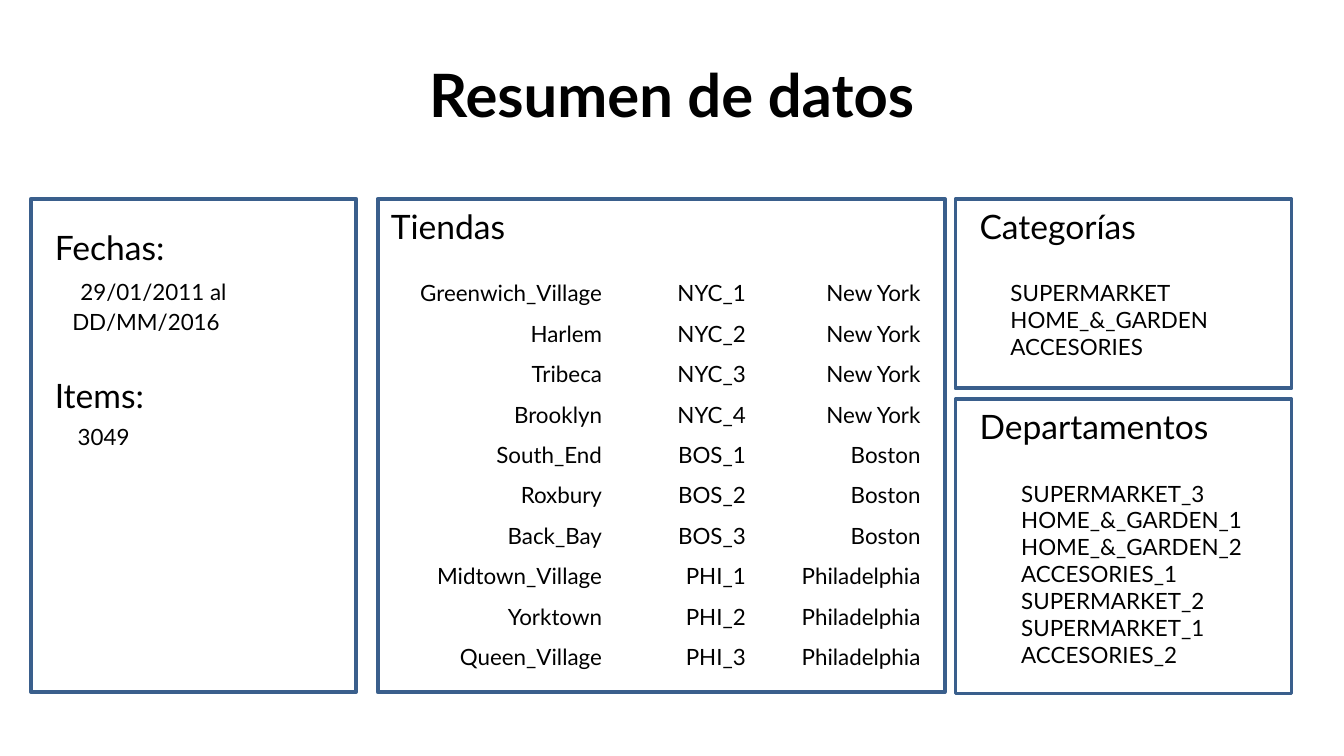
from dataclasses import dataclass
from pptx import Presentation
from pptx.dml.color import RGBColor
from pptx.enum.shapes import MSO_SHAPE
from pptx.enum.text import MSO_ANCHOR, MSO_AUTO_SIZE, PP_ALIGN
from pptx.util import Inches, Pt


@dataclass(frozen=True)
class Theme:
    """Colours, font and type sizes of the slide."""
    ink: RGBColor = RGBColor(0, 0, 0)
    paper: RGBColor = RGBColor(255, 255, 255)
    edge: RGBColor = RGBColor(0x3A, 0x5F, 0x8C)
    font: str = "Lato"
    title: Pt = Pt(32)
    head: Pt = Pt(18)
    body: Pt = Pt(12)


THEME = Theme()
WIDE = Inches(10)
STORES = [
    ("New York", "NYC", ["Greenwich_Village", "Harlem", "Tribeca", "Brooklyn"]),
    ("Boston", "BOS", ["South_End", "Roxbury", "Back_Bay"]),
    ("Philadelphia", "PHI", ["Midtown_Village", "Yorktown", "Queen_Village"]),
]
GROUPS = ["SUPERMARKET", "HOME_&_GARDEN", "ACCESORIES"]
UNITS = [
    "SUPERMARKET_3 HOME_&_GARDEN_1 HOME_&_GARDEN_2 ACCESORIES_1",
    "SUPERMARKET_2 SUPERMARKET_1",
    "ACCESORIES_2",
]
FACTS = [
    ("Fechas:", THEME.head, 0, 0),
    ("29/01/2011 al", THEME.body, 6, 0.19),
    ("DD/MM/2016", THEME.body, 1.3, 0.13),
    ("Items:", THEME.head, 21.6, 0),
    ("3049", THEME.body, 4, 0.17),
]


def style(item, **values):
    """Set each named value on an item."""
    for name, value in values.items():
        setattr(item, name, value)


def write(para, text, size, bold=False, **values):
    """Fill a paragraph with one styled run."""
    style(para, **values)
    run = para.add_run()
    run.text = text
    style(run.font, name=THEME.font, size=size, bold=bold)
    run.font.color.rgb = THEME.ink


def add_text(slide, box, lines, size, anchor=MSO_ANCHOR.TOP, **values):
    """Add a wrapped text box with a paragraph for each line."""
    frame = slide.shapes.add_textbox(*map(Inches, box)).text_frame
    style(frame, word_wrap=True, vertical_anchor=anchor)
    if anchor == MSO_ANCHOR.TOP:
        frame.auto_size = MSO_AUTO_SIZE.SHAPE_TO_FIT_TEXT
    for i, line in enumerate(lines):
        para = frame.add_paragraph() if i else frame.paragraphs[0]
        write(para, line, size, **values)
    return frame


def add_panel(slide, box):
    """Draw the outlined panel."""
    panel = slide.shapes.add_shape(MSO_SHAPE.RECTANGLE, *map(Inches, box))
    panel.shadow.inherit = False
    panel.fill.solid()
    panel.fill.fore_color.rgb = THEME.paper
    panel.line.color.rgb = THEME.edge
    panel.line.width = Pt(2)


def add_stores(slide, box):
    """Add the panel with the table of stores."""
    left, top, width, _ = box
    add_panel(slide, box)
    add_text(slide, (left, top, width - 0.16, 0.4), ["Tiendas"], THEME.head)
    rows = [(name, f"{code}_{i}", city) for city, code, names in STORES
            for i, name in enumerate(names, 1)]
    area = map(Inches, (left + 0.16, top + 0.55, 3.98, 3.01))
    table = slide.shapes.add_table(len(rows), 3, *area).table
    style(table, first_row=False, horz_banding=False)
    for col, size in zip(table.columns, (1.61, 1.07, 1.3)):
        col.width = Inches(size)
    for row, texts in zip(table.rows, rows):
        for cell, text in zip(row.cells, texts):
            cell.fill.background()
            cell.vertical_anchor = MSO_ANCHOR.MIDDLE
            write(cell.text_frame.paragraphs[0], text, THEME.body,
                  alignment=PP_ALIGN.RIGHT)


def add_list(slide, box, head, lines, inset, width, height):
    """Add a panel with a heading and an inset list."""
    left, top, full, _ = box
    add_panel(slide, box)
    add_text(slide, (left + 0.08, top, full - 0.16, 0.4), [head], THEME.head)
    add_text(slide, (left + inset, top + 0.55, width, height), lines, THEME.body)


def add_facts(slide, box):
    """Add the panel with dates and item count."""
    left, top, width, _ = box
    add_panel(slide, box)
    area = (left + 0.08, top + 0.16, width - 0.15, 2.76)
    frame = add_text(slide, area, [], THEME.head)
    for i, (text, size, gap, indent) in enumerate(FACTS):
        para = frame.add_paragraph() if i else frame.paragraphs[0]
        write(para, text, size, space_before=Pt(gap))
        para._p.get_or_add_pPr().set("indent", str(Inches(indent)))


def main():
    """Build and save the slide."""
    deck = Presentation()
    style(deck, slide_width=WIDE, slide_height=WIDE * 9 // 16)
    slide = deck.slides.add_slide(deck.slide_layouts[6])
    add_text(slide, (0.5, 0.23, 9, 0.94), ["Resumen de datos"], THEME.title,
             MSO_ANCHOR.MIDDLE, bold=True, alignment=PP_ALIGN.CENTER)
    add_stores(slide, (2.81, 1.48, 4.22, 3.67))
    add_list(slide, (7.11, 1.48, 2.5, 1.41), "Categorías", GROUPS, 0.31, 2.03, 0.71)
    add_list(slide, (7.11, 2.97, 2.5, 2.19), "Departamentos", UNITS, 0.39, 1.88, 1.51)
    add_facts(slide, (0.23, 1.48, 2.42, 3.67))
    deck.save("out.pptx")


if __name__ == "__main__":
    main()
